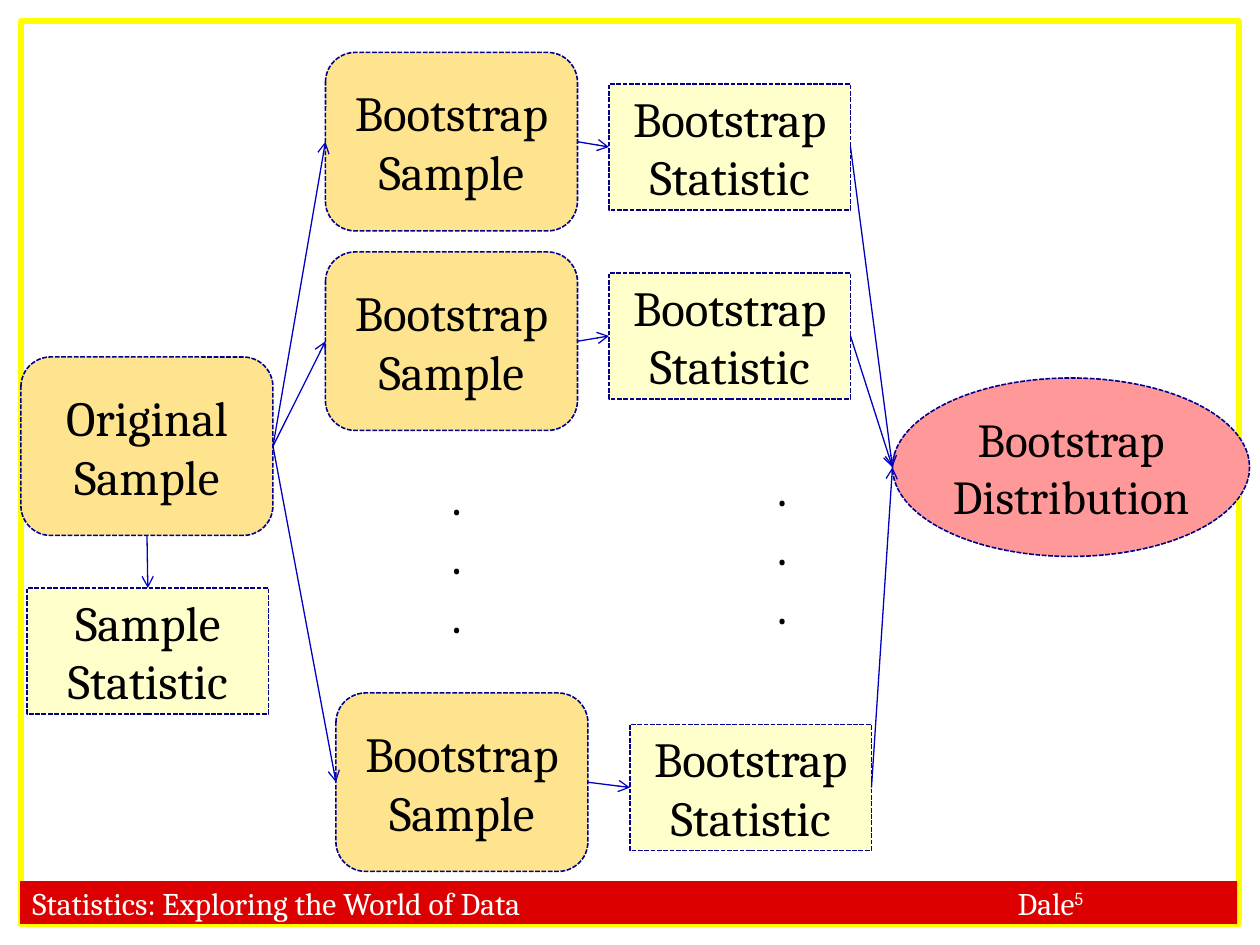
import pptx
import pptx.util
import pptx.dml.color
import pptx.enum.dml
import pptx.enum.shapes
import pptx.enum.text
import pptx.oxml
import pptx.oxml.ns
from lxml import etree

Pt = pptx.util.Pt
SHAPE = pptx.enum.shapes.MSO_SHAPE
ALIGN = pptx.enum.text.PP_ALIGN
ANCHOR = pptx.enum.text.MSO_ANCHOR
qn = pptx.oxml.ns.qn
TOP, LEFT, BOTTOM, RIGHT = range(4)


def rgb(color):
    return pptx.dml.color.RGBColor.from_string(color)


def add_text(p, text, size=28, color="000000", font="Cambria", baseline=None):
    for i, part in enumerate(text.split("\n")):
        if i:
            p.add_line_break()
        r = p.add_run()
        r.text = part
        r.font.size, r.font.name = Pt(size), font
        r.font.color.rgb = rgb(color)
        if baseline:
            r.font._element.set("baseline", str(baseline))


class Deck:
    outline, arrow_color = "00008D", "0000BF"
    sample_fill, statistic_fill, distribution_fill = "FFE48F", "FFFFCC", "FF9999"

    def __init__(self):
        self.prs = pptx.Presentation()
        self.prs.slide_width, self.prs.slide_height = Pt(720), Pt(540)
        self.s = self.prs.slides.add_slide(self.prs.slide_layouts[6])

    def shape(self, kind, x, y, w, h, fill=None, line=None, width=0.9):
        sp = self.s.shapes.add_shape(kind, Pt(x), Pt(y), Pt(w), Pt(h))
        sp.shadow.inherit = False
        if fill:
            sp.fill.solid()
            sp.fill.fore_color.rgb = rgb(fill)
        else:
            sp.fill.background()
        if line:
            sp.line.color.rgb = rgb(line)
            sp.line.width = Pt(width)
        else:
            sp.line.fill.background()
        return sp

    def node(self, kind, text, x, y, w, h, fill, size=28):
        sp = self.shape(kind, x, y, w, h, fill, self.outline)
        sp.line.dash_style = pptx.enum.dml.MSO_LINE.SQUARE_DOT
        tf = sp.text_frame
        tf.word_wrap, tf.vertical_anchor = True, ANCHOR.MIDDLE
        p = tf.paragraphs[0]
        p.alignment = ALIGN.CENTER
        add_text(p, text, size=size)
        return sp

    def sample(self, text, x, y):
        return self.node(SHAPE.ROUNDED_RECTANGLE, text, x, y, 144, 102, self.sample_fill)

    def statistic(self, text, x, y):
        return self.node(SHAPE.RECTANGLE, text, x, y, 138, 72, self.statistic_fill)

    def distribution(self, text, x, y):
        sp = self.node(SHAPE.OVAL, text, x, y, 204, 102, self.distribution_fill, size=27)
        tf = sp.text_frame
        tf.margin_left = tf.margin_right = tf.margin_top = tf.margin_bottom = 0
        return sp

    def dots(self, x, y):
        tf = self.s.shapes.add_textbox(Pt(x), Pt(y), Pt(90), Pt(108.5)).text_frame
        tf.word_wrap = True
        for i in range(3):
            p = tf.add_paragraph() if i else tf.paragraphs[0]
            p.alignment = ALIGN.CENTER
            add_text(p, ".")

    def arrow(self, start, side, end, end_side=None):
        x, y = end.left, end.top + end.height // 2
        c = self.s.shapes.add_connector(pptx.enum.shapes.MSO_CONNECTOR.STRAIGHT, x, y, x, y)
        c.begin_connect(start, side)
        if end_side is not None:
            c.end_connect(end, end_side)
        c.line.color.rgb = rgb(self.arrow_color)
        c.line.width = Pt(0.75)
        sp_pr = c._element.spPr
        etree.SubElement(sp_pr.find(qn("a:ln")), qn("a:tailEnd"), type="arrow")
        etree.SubElement(sp_pr, qn("a:effectLst"))

    def footer(self, title, author, mark):
        sp = self.shape(SHAPE.RECTANGLE, 11.5, 503.5, 695.5, 24.5, "DC0000")
        tf = sp.text_frame
        tf.word_wrap, tf.vertical_anchor = True, ANCHOR.MIDDLE
        p = tf.paragraphs[0]
        p.alignment = ALIGN.LEFT
        tabs = etree.SubElement(p._p.get_or_add_pPr(), qn("a:tabLst"))
        etree.SubElement(tabs, qn("a:tab"), pos=str(Pt(563)), algn="l")
        add_text(p, f"{title}\t{author}", size=18, color="FFFFFF")
        add_text(p, mark, size=18, color="FFFFFF", baseline=30000)


def main():
    d = Deck()
    d.shape(SHAPE.RECTANGLE, 12, 12, 696, 516, line="FFFF00", width=3)
    d.footer("Statistics: Exploring the World of Data", "Dale", "5")

    original = d.sample("Original Sample", 12, 204)
    statistic = d.statistic("Sample Statistic", 15.5, 336)
    d.arrow(original, BOTTOM, statistic, TOP)
    distribution = d.distribution("Bootstrap Distribution", 510, 216)

    rows = [((186, 30), (348, 48)), ((186, 144), (348, 156)), ((192, 396), (360, 414))]
    for sample_at, statistic_at in rows:
        sample = d.sample("Bootstrap\nSample", *sample_at)
        statistic = d.statistic("Bootstrap Statistic", *statistic_at)
        d.arrow(original, RIGHT, sample, LEFT)
        d.arrow(sample, RIGHT, statistic, LEFT)
        d.arrow(statistic, RIGHT, distribution)

    d.dots(216, 263)
    d.dots(402, 258)
    d.prs.save("out.pptx")


if __name__ == "__main__":
    main()
